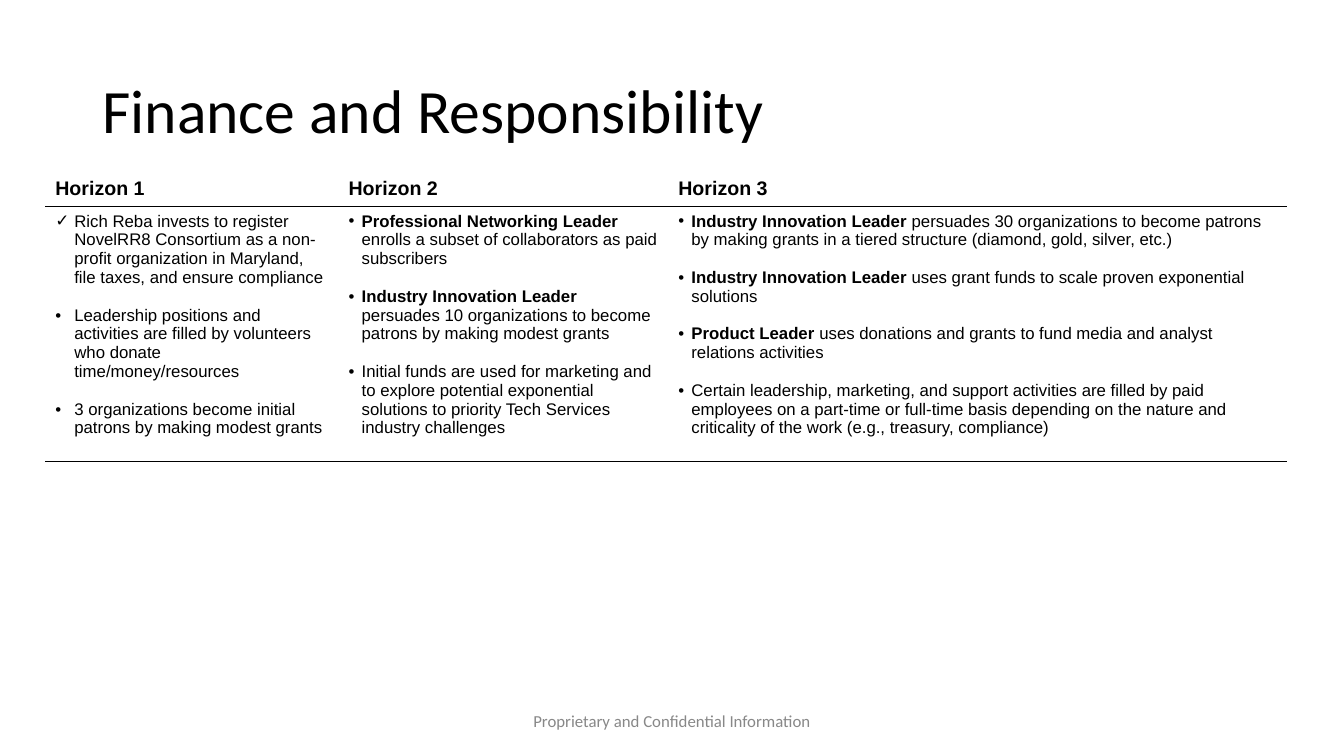
from lxml.etree import SubElement
from pptx import Presentation
from pptx.dml.color import RGBColor
from pptx.enum.text import MSO_ANCHOR, PP_ALIGN
from pptx.oxml.ns import qn
from pptx.util import Cm, Pt

COLORS = {"text": "000000", "footer": "888888", "rule": "000000"}
COLUMN_WIDTHS = [7.39, 8.31, 15.6]
ROW_HEIGHTS = [0.87, 6.42]
HORIZONS = [
    ("Horizon 1", 0.48, [
        ("✓", "", "Rich Reba invests to register NovelRR8 Consortium as a non-profit "
                  "organization in Maryland, file taxes, and ensure compliance"),
        ("•", "", "Leadership positions and activities are filled by volunteers who donate "
                  "time/money/resources"),
        ("•", "", "3 organizations become initial patrons by making modest grants"),
    ]),
    ("Horizon 2", 0.33, [
        ("•", "Professional Networking Leader ",
         "enrolls a subset of collaborators as paid subscribers"),
        ("•", "Industry Innovation Leader ",
         "persuades 10 organizations to become patrons by making modest grants"),
        ("•", "", "Initial funds are used for marketing and to explore potential exponential "
                  "solutions to priority Tech Services industry challenges"),
    ]),
    ("Horizon 3", 0.33, [
        ("•", "Industry Innovation Leader ",
         "persuades 30 organizations to become patrons by making grants in a tiered "
         "structure (diamond, gold, silver, etc.)"),
        ("•", "Industry Innovation Leader ",
         "uses grant funds to scale proven exponential solutions"),
        ("•", "Product Leader ",
         "uses donations and grants to fund media and analyst relations activities"),
        ("•", "", "Certain leadership, marketing, and support activities are filled by paid "
                  "employees on a part-time or full-time basis depending on the nature and "
                  "criticality of the work (e.g., treasury, compliance)"),
    ]),
]


def set_font(paragraph, name, size, color, bold=False):
    font = paragraph.font
    font.name = name
    font.size = Pt(size)
    font.bold = bold
    font.color.rgb = RGBColor.from_string(COLORS[color])


def add_text(slide, left, top, width, height, text, size, color, align, line_spacing=1.0):
    box = slide.shapes.add_textbox(Cm(left), Cm(top), Cm(width), Cm(height))
    frame = box.text_frame
    frame.word_wrap = True
    frame.vertical_anchor = MSO_ANCHOR.MIDDLE
    paragraph = frame.paragraphs[0]
    paragraph.text = text
    paragraph.alignment = align
    paragraph.line_spacing = line_spacing
    set_font(paragraph, "Calibri", size, color)


def style_cell(cell, ruled_sides):
    properties = cell._tc.get_or_add_tcPr()
    for side in "LRTB":
        line = SubElement(properties, qn(f"a:ln{side}"), w=str(Pt(1)))
        if side in ruled_sides:
            fill = SubElement(line, qn("a:solidFill"))
            SubElement(fill, qn("a:srgbClr"), val=COLORS["rule"])
        else:
            SubElement(line, qn("a:noFill"))
    cell.fill.background()


def set_bullet(paragraph, character, indent):
    properties = paragraph._p.get_or_add_pPr()
    properties.set("marL", str(Cm(indent)))
    properties.set("indent", str(-Cm(indent)))
    color = SubElement(properties, qn("a:buClr"))
    SubElement(color, qn("a:srgbClr"), val=COLORS["text"])
    SubElement(properties, qn("a:buFont"), typeface="Arial")
    SubElement(properties, qn("a:buChar"), char=character)


def fill_header(cell, title):
    style_cell(cell, "B")
    paragraph = cell.text_frame.paragraphs[0]
    paragraph.text = title
    set_font(paragraph, "Arial", 14, "text", bold=True)


def fill_body(cell, indent, items):
    style_cell(cell, "TB")
    frame = cell.text_frame
    for index, (character, lead, text) in enumerate(items):
        paragraph = frame.add_paragraph() if index else frame.paragraphs[0]
        set_bullet(paragraph, character, indent)
        if index:
            paragraph.space_before = Pt(13.4)
        if lead:
            run = paragraph.add_run()
            run.text = lead
            run.font.bold = True
        paragraph.add_run().text = text
        set_font(paragraph, "Arial", 12, "text")


def add_horizon_table(slide):
    frame = slide.shapes.add_table(
        len(ROW_HEIGHTS), len(HORIZONS), Cm(1.14), Cm(4.34),
        Cm(sum(COLUMN_WIDTHS)), Cm(sum(ROW_HEIGHTS)))
    table = frame.table
    table.first_row = False
    table.horz_banding = False
    for row, height in zip(table.rows, ROW_HEIGHTS):
        row.height = Cm(height)
    for index, (title, indent, items) in enumerate(HORIZONS):
        table.columns[index].width = Cm(COLUMN_WIDTHS[index])
        fill_header(table.cell(0, index), title)
        fill_body(table.cell(1, index), indent, items)


def main():
    presentation = Presentation()
    presentation.slide_width = Cm(33.87)
    presentation.slide_height = Cm(19.05)
    slide = presentation.slides.add_slide(presentation.slide_layouts[6])
    add_text(slide, 2.33, 1.01, 24.87, 3.68, "Finance and Responsibility",
             44, "text", PP_ALIGN.LEFT, line_spacing=0.9)
    add_horizon_table(slide)
    add_text(slide, 11.22, 17.66, 11.43, 1.01, "Proprietary and Confidential Information",
             12, "footer", PP_ALIGN.CENTER)
    presentation.save("out.pptx")


if __name__ == "__main__":
    main()
